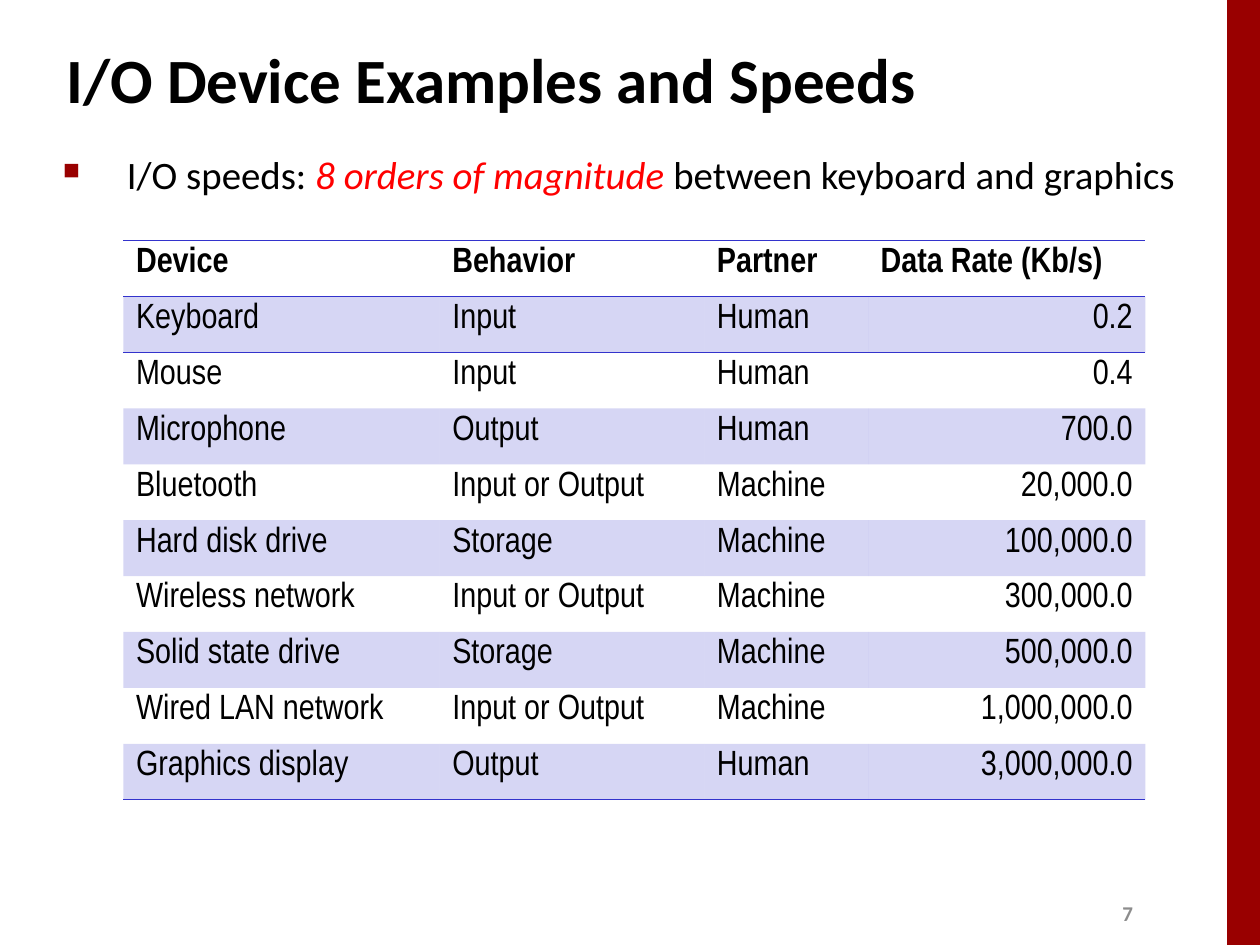
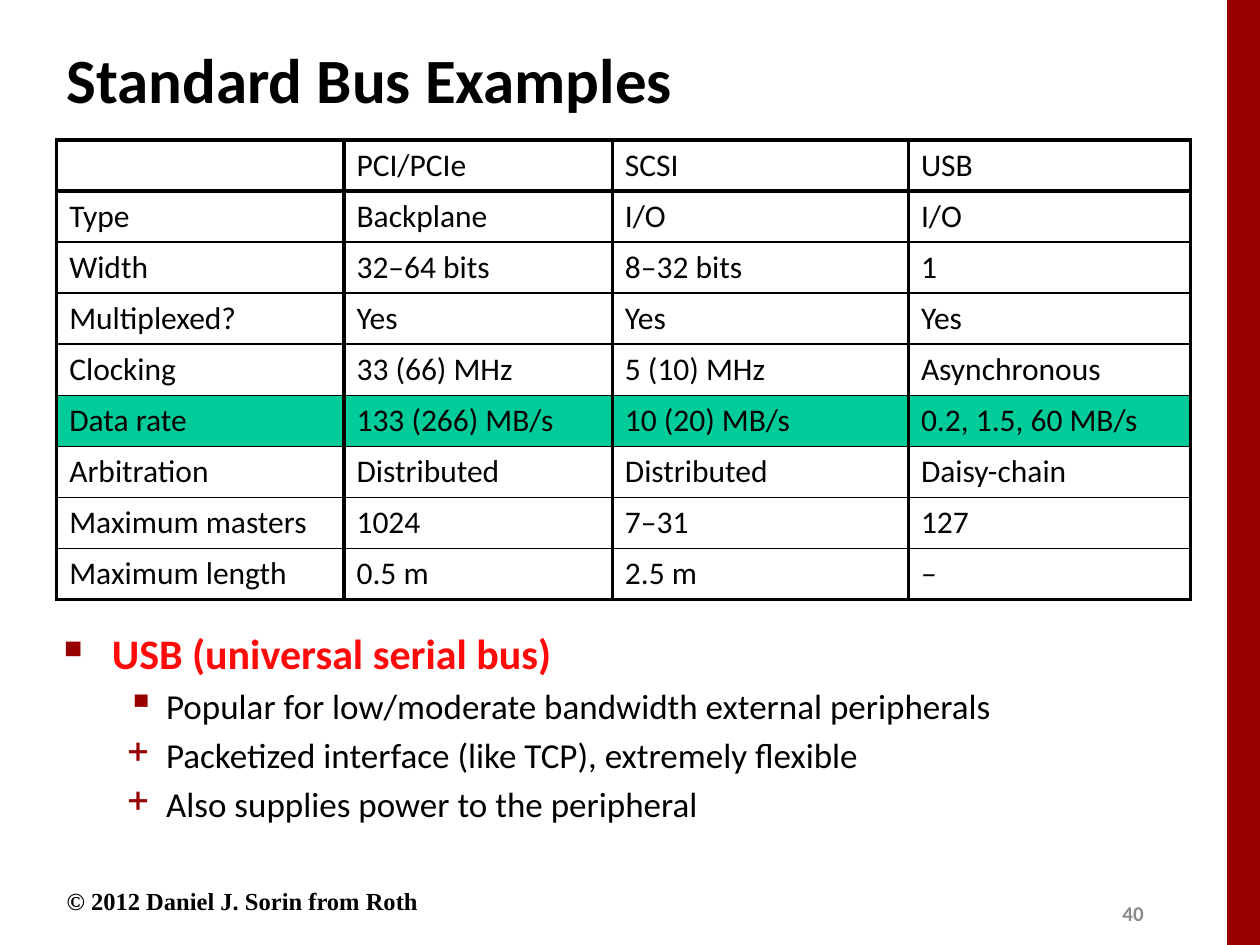
from lxml import etree
from pptx import Presentation
from pptx.dml.color import RGBColor
from pptx.enum.shapes import MSO_SHAPE
from pptx.enum.text import MSO_ANCHOR, PP_ALIGN
from pptx.oxml.ns import qn
from pptx.util import Inches, Pt

COLORS = {
    "band": "990000", "black": "000000", "number": "8C8C8C", "stripe": "3333CC",
    "highlight": "00CC99", "bus_text": "030305", "emphasis": "FF0000", "usb": "FF0909",
}
TITLE = {"size": 36, "name": "Calibri", "color": "black", "bold": True}
NUMBER = {"size": 12, "name": "Calibri", "color": "number", "bold": True}
CREDIT = {"size": 14, "name": "Times New Roman", "color": "black", "bold": True}
SPEED = {"size": 22.2, "name": "Calibri", "color": "black"}
USB = {"size": 24, "name": "Calibri", "color": "usb", "bold": True}
DETAIL = {"size": 20, "name": "Calibri", "color": "black"}
DEVICE = {"size": 20, "name": "Arial Narrow", "color": "black"}
BUS = {"size": 18, "name": "Calibri", "color": "bus_text"}
TOP_BULLET = {"char": "■", "scale": 60, "indent": 0.38, "hang": 0.38, "before": 0}
SUB_BULLET = {"char": "▪", "scale": 110, "indent": 0.81, "hang": 0.31, "before": 4}
PLUS_BULLET = {**SUB_BULLET, "char": "+"}
PLAIN_TABLE = "{2D5ABB26-0587-4C30-8999-92F81FD0307C}"

DEVICES = [
    ("Device", "Behavior", "Partner", "Data Rate (Kb/s)"),
    ("Keyboard", "Input", "Human", "0.2"),
    ("Mouse", "Input", "Human", "0.4"),
    ("Microphone", "Output", "Human", "700.0"),
    ("Bluetooth", "Input or Output", "Machine", "20,000.0"),
    ("Hard disk drive", "Storage", "Machine", "100,000.0"),
    ("Wireless network", "Input or Output", "Machine", "300,000.0"),
    ("Solid state drive", "Storage", "Machine", "500,000.0"),
    ("Wired LAN network", "Input or Output", "Machine", "1,000,000.0"),
    ("Graphics display", "Output", "Human", "3,000,000.0"),
]
BUSES = [
    ("", "PCI/PCIe", "SCSI", "USB"),
    ("Type", "Backplane", "I/O", "I/O"),
    ("Width", "32–64 bits", "8–32 bits", "1"),
    ("Multiplexed?", "Yes", "Yes", "Yes"),
    ("Clocking", "33 (66) MHz", "5 (10) MHz", "Asynchronous"),
    ("Data rate", "133 (266) MB/s", "10 (20) MB/s", "0.2, 1.5, 60 MB/s"),
    ("Arbitration", "Distributed", "Distributed", "Daisy-chain"),
    ("Maximum masters", "1024", "7–31", "127"),
    ("Maximum length", "0.5 m", "2.5 m", "–"),
]


def rgb(key):
    """Return the named colour."""
    return RGBColor.from_string(COLORS[key])


def add_run(paragraph, text, style):
    """Append a run whose font follows the style."""
    run = paragraph.add_run()
    run.text = text
    for attribute, value in style.items():
        if attribute == "color":
            run.font.color.rgb = rgb(value)
        else:
            setattr(run.font, attribute, Pt(value) if attribute == "size" else value)


def add_bullet(paragraph, bullet):
    """Give a paragraph a hanging coloured bullet."""
    paragraph.space_before = Pt(bullet["before"])
    properties = paragraph._p.get_or_add_pPr()
    properties.set("marL", str(Inches(bullet["indent"])))
    properties.set("indent", str(-Inches(bullet["hang"])))
    color = etree.SubElement(properties, qn("a:buClr"))
    etree.SubElement(color, qn("a:srgbClr"), val=COLORS["band"])
    etree.SubElement(properties, qn("a:buSzPct"), val=str(bullet["scale"] * 1000))
    etree.SubElement(properties, qn("a:buChar"), char=bullet["char"])


def add_text(slide, box, lines, anchor=MSO_ANCHOR.TOP):
    """Place lines, each a bullet and its runs, in a box."""
    frame = slide.shapes.add_textbox(*map(Inches, box)).text_frame
    frame.word_wrap = True
    frame.vertical_anchor = anchor
    for index, (bullet, runs) in enumerate(lines):
        paragraph = frame.add_paragraph() if index else frame.paragraphs[0]
        if bullet:
            add_bullet(paragraph, bullet)
        for text, style in runs:
            add_run(paragraph, text, style)


def add_label(slide, box, text, style):
    """Place one vertically centred line in a box."""
    add_text(slide, box, [(None, [(text, style)])], MSO_ANCHOR.MIDDLE)


def add_base(deck, title, number):
    """Add a slide with the side band, title and slide number."""
    slide = deck.slides.add_slide(deck.slide_layouts[6])
    band = slide.shapes.add_shape(
        MSO_SHAPE.RECTANGLE, *map(Inches, (9.74, 0, 0.26, 7.5)))
    band.shadow.inherit = False
    band.fill.solid()
    band.fill.fore_color.rgb = rgb("band")
    band.line.fill.background()
    add_label(slide, (8.81, 7.1, 0.6, 0.3), number, NUMBER)
    add_label(slide, (0.43, 0.21, 8.3, 0.83), title, TITLE)
    return slide


def add_borders(cell, borders, color):
    """Draw cell borders, given as widths by side."""
    properties = cell._tc.get_or_add_tcPr()
    for side in "LRTB":
        if side in borders:
            line = etree.SubElement(
                properties, qn(f"a:ln{side}"), w=str(Pt(borders[side])))
            fill = etree.SubElement(line, qn("a:solidFill"))
            etree.SubElement(fill, qn("a:srgbClr"), val=COLORS[color])


def fill_cell(cell, color, alpha=100):
    """Fill a cell with a colour of the given opacity, or with none."""
    if color is None:
        cell.fill.background()
        return
    cell.fill.solid()
    cell.fill.fore_color.rgb = rgb(color)
    if alpha < 100:
        tint = next(cell._tc.iter(qn("a:srgbClr"), ), None)
        for solid in cell._tc.tcPr.findall(qn("a:solidFill")):
            tint = solid.find(qn("a:srgbClr"))
        etree.SubElement(tint, qn("a:alpha"), val=str(alpha * 1000))


def add_grid(slide, box, widths, rows, format_cell):
    """Place an unstyled table and format each cell by its row and column."""
    frame = slide.shapes.add_table(len(rows), len(widths), *map(Inches, box))
    table = frame.table
    table.first_row = table.horz_banding = False
    for style_id in frame._element.iter(qn("a:tableStyleId")):
        style_id.text = PLAIN_TABLE
    for column, width in zip(table.columns, widths):
        column.width = Inches(width)
    for r, row in enumerate(rows):
        table.rows[r].height = Inches(box[3] / len(rows))
        for c, text in enumerate(row):
            format_cell(table.cell(r, c), r, c, text)


def format_device(cell, row, column, text):
    """Format a device cell: ruled bold header, tinted odd rows."""
    paragraph = cell.text_frame.paragraphs[0]
    add_run(paragraph, text, {**DEVICE, "bold": row == 0})
    if row and column == 3:
        paragraph.alignment = PP_ALIGN.RIGHT
    borders = {"T": 1, "B": 1} if row == 0 else {}
    if row == 1:
        borders = {"T": 1}
    elif row == len(DEVICES) - 1:
        borders = {"B": 1}
    add_borders(cell, borders, "stripe")
    fill_cell(cell, "stripe" if row % 2 else None, 20)


def format_bus(cell, row, column, text):
    """Format a bus cell: full grid, heavy outline, highlighted data rate."""
    if text:
        add_run(cell.text_frame.paragraphs[0], text, BUS)
    heavy_bottom = row in (0, len(BUSES) - 1)
    borders = {"L": 2.25, "R": 2.25, "T": 2.25 if row < 2 else 1,
               "B": 2.25 if heavy_bottom else 1}
    add_borders(cell, borders, "black")
    fill_cell(cell, "highlight" if BUSES[row][0] == "Data rate" else None)


def build_devices(deck):
    """Build the slide of device speeds."""
    slide = add_base(deck, "I/O Device Examples and Speeds", "7")
    add_grid(slide, (0.98, 1.91, 8.11, 4.44), (2.51, 2.1, 1.3, 2.2),
             DEVICES, format_device)
    emphasis = {**SPEED, "color": "emphasis", "italic": True}
    add_text(slide, (0.4, 1.15, 9.6, 0.5), [
        ({**TOP_BULLET, "indent": 0.51, "hang": 0.51}, [
            ("I/O speeds: ", SPEED),
            ("8 orders of magnitude ", emphasis),
            ("between keyboard and graphics", SPEED),
        ])])


def build_buses(deck):
    """Build the slide of standard buses."""
    slide = add_base(deck, "Standard Bus Examples", "40")
    add_text(slide, (0.41, 4.93, 8.93, 2), [
        (TOP_BULLET, [("USB (universal serial bus)", USB)]),
        (SUB_BULLET, [
            ("Popular for low/moderate bandwidth external peripherals", DETAIL)]),
        (PLUS_BULLET, [
            ("Packetized interface (like TCP), extremely flexible", DETAIL)]),
        (PLUS_BULLET, [("Also supplies power to the peripheral", DETAIL)]),
    ])
    add_label(slide, (0.43, 6.95, 3.38, 0.4), "© 2012 Daniel J. Sorin from Roth", CREDIT)
    add_grid(slide, (0.45, 1.11, 9, 3.65), (2.28, 2.13, 2.35, 2.24),
             BUSES, format_bus)


def main():
    """Build and save the deck."""
    deck = Presentation()
    deck.slide_width, deck.slide_height = Inches(10), Inches(7.5)
    build_devices(deck)
    build_buses(deck)
    deck.save("out.pptx")


if __name__ == "__main__":
    main()
